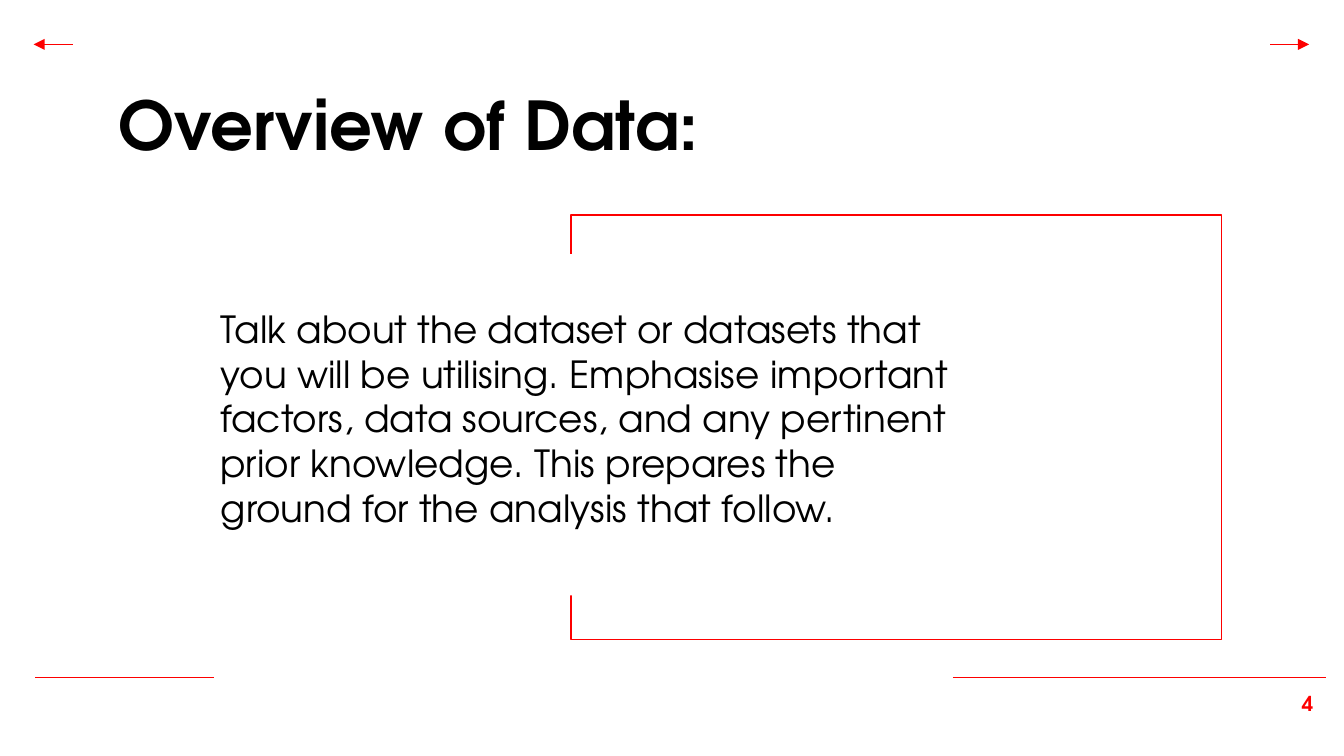
from dataclasses import dataclass

from lxml import etree
from pptx import Presentation
from pptx.dml.color import RGBColor
from pptx.enum.shapes import MSO_CONNECTOR, MSO_SHAPE
from pptx.enum.text import MSO_ANCHOR, MSO_AUTO_SIZE, PP_ALIGN
from pptx.oxml.ns import qn
from pptx.shapes.autoshape import Shape
from pptx.slide import Slide
from pptx.util import Pt

STRAIGHT = MSO_CONNECTOR.STRAIGHT
RECTANGLE = MSO_SHAPE.RECTANGLE
TOP, MIDDLE = MSO_ANCHOR.TOP, MSO_ANCHOR.MIDDLE
LEFT, RIGHT = PP_ALIGN.LEFT, PP_ALIGN.RIGHT
NO_AUTOFIT = MSO_AUTO_SIZE.NONE

COLORS = {"accent": "FD0000", "text": "000000", "background": "FFFFFF"}
FONT = "TeX Gyre Adventor"
LINE_WIDTH = 0.75
INSET = 7.2


@dataclass
class Box:
    left: float
    top: float
    width: float
    height: float


@dataclass
class Rule:
    start: float
    end: float
    y: float
    arrow: bool = False


@dataclass
class TextStyle:
    size: float
    color: str = "text"
    bold: bool = False
    alignment: PP_ALIGN = LEFT
    anchor: MSO_ANCHOR = TOP
    top_inset: float = INSET


RULES = [
    Rule(114.5, 18.7, 363),
    Rule(510.5, 710.6, 363),
    Rule(680.4, 701.3, 23.8, arrow=True),
    Rule(38.9, 18, 23.8, arrow=True),
]
FRAME = Box(306, 115.2, 348.5, 227.5)
TITLE = Box(56.2, 37.4, 547.9, 62.6)
BODY = Box(110.9, 136.1, 414.7, 182.9)
PAGE_NUMBER = Box(664.6, 362.9, 46.1, 31)
BODY_TEXT = (
    "Talk about the dataset or datasets that you will be utilising. "
    "Emphasise important factors, data sources, and any pertinent prior "
    "knowledge. This prepares the ground for the analysis that follow."
)


def color(name: str) -> RGBColor:
    return RGBColor.from_string(COLORS[name])


def draw_rule(slide: Slide, rule: Rule) -> None:
    connector = slide.shapes.add_connector(
        STRAIGHT, Pt(rule.start), Pt(rule.y), Pt(rule.end), Pt(rule.y)
    )
    connector.line.color.rgb = color("accent")
    connector.line.width = Pt(LINE_WIDTH)
    if rule.arrow:
        etree.SubElement(connector.line._get_or_add_ln(), qn("a:tailEnd"), type="triangle")
    etree.SubElement(connector._element.spPr, qn("a:effectLst"))


def draw_frame(slide: Slide, box: Box) -> None:
    frame = slide.shapes.add_shape(
        RECTANGLE, Pt(box.left), Pt(box.top), Pt(box.width), Pt(box.height)
    )
    frame.shadow.inherit = False
    frame.fill.background()
    frame.line.color.rgb = color("accent")
    frame.line.width = Pt(LINE_WIDTH)


def set_text(shape: Shape, box: Box, text: str, style: TextStyle) -> None:
    shape.left, shape.top = Pt(box.left), Pt(box.top)
    shape.width, shape.height = Pt(box.width), Pt(box.height)
    frame = shape.text_frame
    frame.word_wrap = True
    frame.auto_size = NO_AUTOFIT
    frame.vertical_anchor = style.anchor
    frame.margin_left = frame.margin_right = frame.margin_bottom = Pt(INSET)
    frame.margin_top = Pt(style.top_inset)
    paragraph = frame.paragraphs[0]
    paragraph.alignment = style.alignment
    paragraph.line_spacing = 1.0
    paragraph.space_before = Pt(0)
    run = paragraph.add_run()
    run.text = text
    run.font.name = FONT
    run.font.size = Pt(style.size)
    run.font.bold = style.bold
    run.font.color.rgb = color(style.color)


def main() -> None:
    presentation = Presentation()
    presentation.slide_width, presentation.slide_height = Pt(720), Pt(405)
    slide = presentation.slides.add_slide(presentation.slide_layouts[0])
    slide.background.fill.solid()
    slide.background.fill.fore_color.rgb = color("background")

    title, body = slide.placeholders
    set_text(title, TITLE, "Overview of Data:", TextStyle(36, bold=True))

    draw_frame(slide, FRAME)
    slide.shapes._spTree.append(body._element)
    body.fill.solid()
    body.fill.fore_color.rgb = color("background")
    set_text(body, BODY, BODY_TEXT, TextStyle(20, anchor=MIDDLE, top_inset=0))

    for rule in RULES:
        draw_rule(slide, rule)
    page_number = slide.shapes.add_textbox(0, 0, 0, 0)
    set_text(page_number, PAGE_NUMBER, "4", TextStyle(11, "accent", True, RIGHT))

    presentation.save("out.pptx")


if __name__ == "__main__":
    main()
